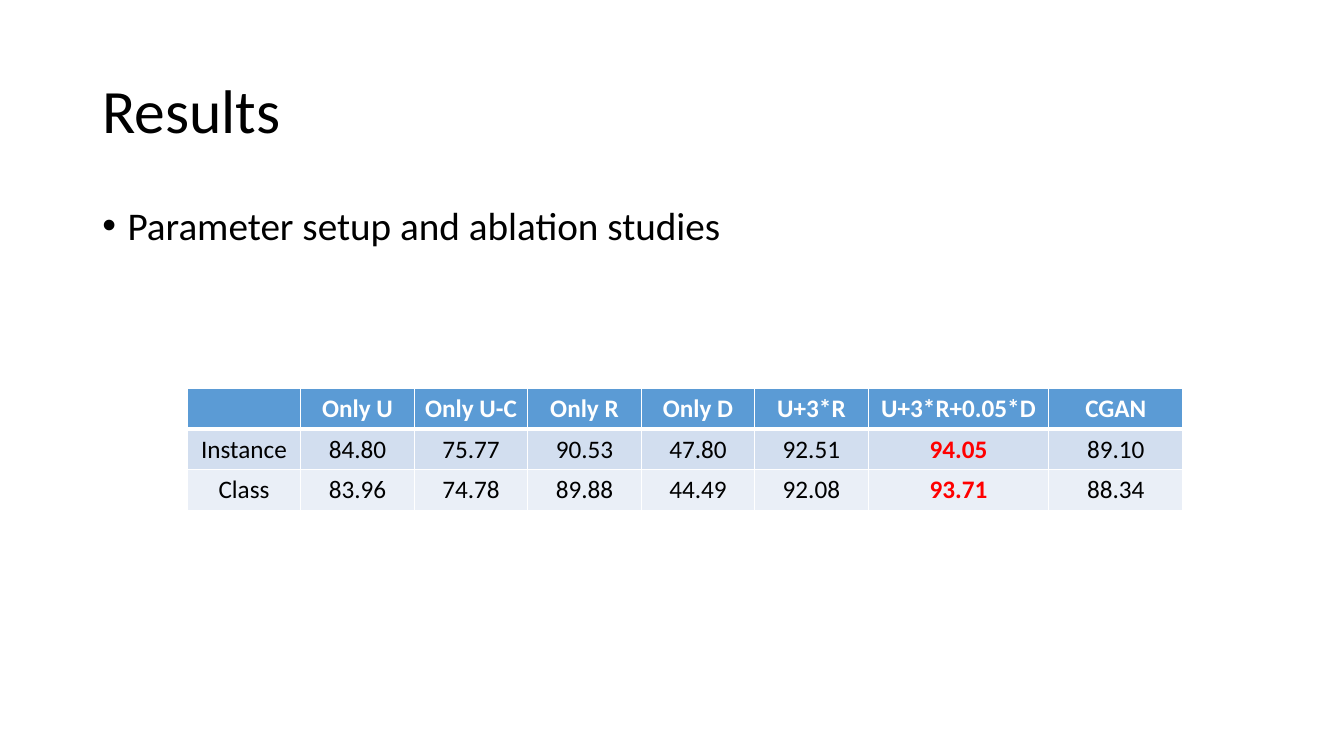
"""Build the Results slide with its ablation table."""
from lxml.etree import SubElement
from pptx import Presentation
from pptx.dml.color import RGBColor
from pptx.enum.text import MSO_ANCHOR, PP_ALIGN
from pptx.oxml.ns import qn
from pptx.util import Cm, Pt

TITLE = "Results"
BULLET = "Parameter setup and ablation studies"
ROWS = [
    ("", "Only U", "Only U-C", "Only R", "Only D", "U+3*R", "U+3*R+0.05*D", "CGAN"),
    ("Instance", "84.80", "75.77", "90.53", "47.80", "92.51", "94.05", "89.10"),
    ("Class", "83.96", "74.78", "89.88", "44.49", "92.08", "93.71", "88.34"),
]
BEST_COLUMN = 6
COLORS = {"text": "000000", "white": "FFFFFF", "best": "FF0000"}
ROW_FILLS = {0: "5B9BD5", 1: "D2DEEF", 2: "EAEFF7"}

COLUMN_WIDTHS = [2.86] * 6 + [4.55, 3.38]
ROW_HEIGHT = 1.03
TABLE_LEFT, TABLE_TOP = 4.72, 9.78
TEXT_LEFT, TEXT_WIDTH = 2.33, 29.21
TITLE_FORMAT = {"line_spacing": 0.9}
BULLET_FORMAT = {"line_spacing": 0.9, "space_before": Pt(10)}
CELL_FORMAT = {"alignment": PP_ALIGN.CENTER}


def write(para, text, size, color, bold, para_format):
    for name, value in para_format.items():
        setattr(para, name, value)
    span = para.add_run()
    span.text = text
    for name, value in {"name": "Calibri", "size": Pt(size), "bold": bold}.items():
        setattr(span.font, name, value)
    span.font.color.rgb = RGBColor.from_string(COLORS[color])


def add_text(page, top, height, text, size, anchor, para_format):
    box = page.shapes.add_textbox(Cm(TEXT_LEFT), Cm(top), Cm(TEXT_WIDTH), Cm(height))
    box.text_frame.word_wrap = True
    box.text_frame.vertical_anchor = anchor
    para = box.text_frame.paragraphs[0]
    write(para, text, size, "text", False, para_format)
    return para


def add_bullet(para):
    properties = para._p.get_or_add_pPr()
    properties.set("marL", str(Cm(0.635)))
    properties.set("indent", str(-Cm(0.635)))
    SubElement(properties, qn("a:buFont"), typeface="Arial")
    SubElement(properties, qn("a:buChar"), char="•")


def add_borders(cell, widths):
    properties = cell._tc.get_or_add_tcPr()
    for side, width in widths.items():
        line = SubElement(properties, qn(f"a:ln{side}"), w=str(Pt(width)))
        fill = SubElement(line, qn("a:solidFill"))
        SubElement(fill, qn("a:srgbClr"), val=COLORS["white"])


def add_results(page):
    frame = page.shapes.add_table(
        len(ROWS), len(COLUMN_WIDTHS), Cm(TABLE_LEFT), Cm(TABLE_TOP),
        Cm(sum(COLUMN_WIDTHS)), Cm(ROW_HEIGHT * len(ROWS)))
    table = frame.table
    for column, width in zip(table.columns, COLUMN_WIDTHS):
        column.width = Cm(width)
    for row_index, values in enumerate(ROWS):
        table.rows[row_index].height = Cm(ROW_HEIGHT)
        header = row_index == 0
        borders = {"L": 1, "R": 1, "T": 3 if row_index == 1 else 1, "B": 3 if header else 1}
        for column_index, value in enumerate(values):
            cell = table.cell(row_index, column_index)
            add_borders(cell, borders)
            cell.fill.solid()
            cell.fill.fore_color.rgb = RGBColor.from_string(ROW_FILLS[row_index])
            best = column_index == BEST_COLUMN
            color = "white" if header else "best" if best else "text"
            if value:
                write(cell.text_frame.paragraphs[0], value, 18, color, header or best, CELL_FORMAT)


def main():
    deck = Presentation()
    deck.slide_width, deck.slide_height = Cm(33.87), Cm(19.05)
    page = deck.slides.add_slide(deck.slide_layouts[6])
    add_text(page, 1.01, 3.68, TITLE, 44, MSO_ANCHOR.MIDDLE, TITLE_FORMAT)
    add_bullet(add_text(page, 5.07, 12.09, BULLET, 28, MSO_ANCHOR.TOP, BULLET_FORMAT))
    add_results(page)
    deck.save("out.pptx")


if __name__ == "__main__":
    main()
